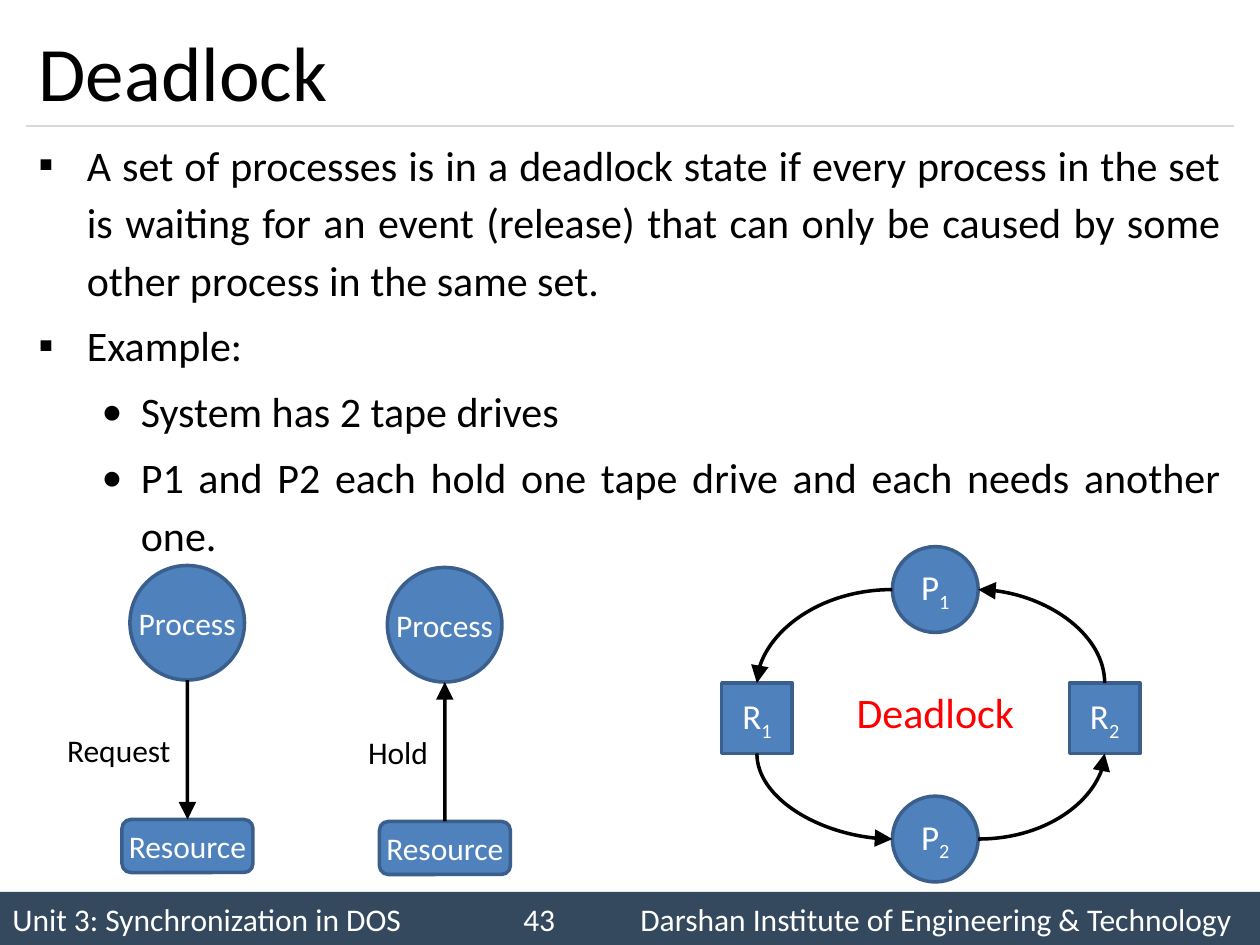
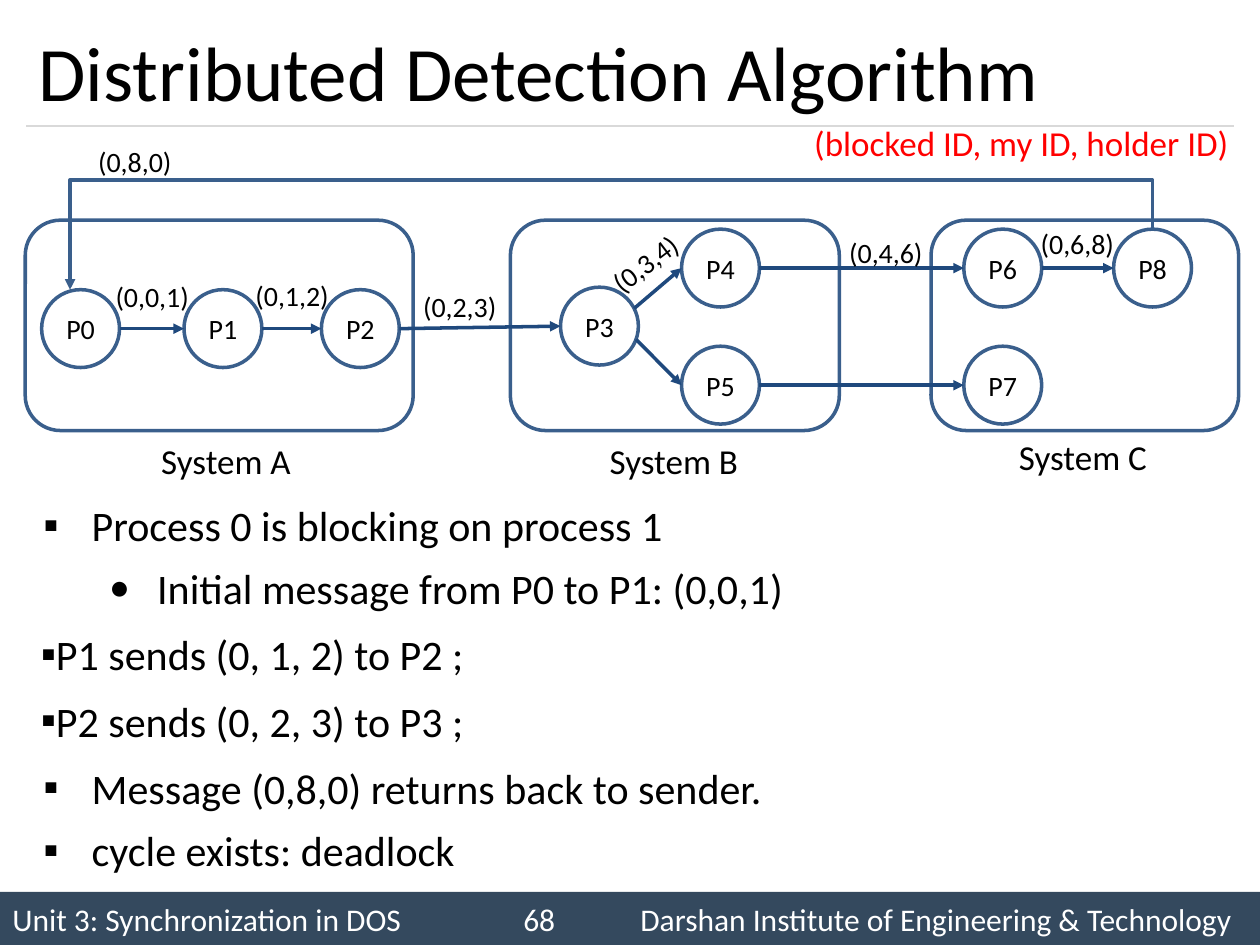
from math import cos, radians, sin

from pptx import Presentation
from pptx.dml.color import RGBColor as Rgb
from pptx.enum.shapes import MSO_CONNECTOR as Link, MSO_SHAPE as Form
from pptx.enum.text import MSO_ANCHOR as Anchor, PP_ALIGN as Align
from pptx.oxml.ns import qn
from pptx.oxml.xmlchemy import OxmlElement as Node
from pptx.util import Cm, Pt

FONT = "Calibri"
INK = {
    "black": "000000", "white": "FFFFFF", "red": "FF0000", "rule": "D9D9D9",
    "band": "34495E", "blue": "4F81BD", "edge": "3A5F8C", "navy": "1F497D",
}
UNIT = "Unit 3: Synchronization in DOS"
SCHOOL = "Darshan Institute of Engineering & Technology"


# Shared helpers; all lengths are in centimetres
def rgb(name):
    return Rgb.from_string(INK[name])


def add_run(para, text, size, color="black", sub=False):
    run = para.add_run()
    run.text = text
    font = run.font
    font.name, font.size, font.color.rgb = FONT, Pt(size), rgb(color)
    if sub:
        font._element.set("baseline", "-25000")


def add_text(slide, box, text, size, color="black", align=Align.LEFT,
             anchor=Anchor.TOP, wrap=False):
    shape = slide.shapes.add_textbox(*map(Cm, box))
    frame = shape.text_frame
    frame.word_wrap, frame.vertical_anchor = wrap, anchor
    para = frame.paragraphs[0]
    para.alignment = align
    if text:
        add_run(para, text, size, color)
    return shape


def add_form(slide, form, box, fill, edge="edge"):
    shape = slide.shapes.add_shape(form, *map(Cm, box))
    shape.shadow.inherit = False
    shape.fill.solid()
    shape.fill.fore_color.rgb = rgb(fill)
    if edge:
        paint(shape, edge)
    else:
        shape.line.fill.background()
    return shape


def write(shape, text, size, color, sub=""):
    frame = shape.text_frame
    frame.word_wrap, frame.vertical_anchor = False, Anchor.MIDDLE
    para = frame.paragraphs[0]
    para.alignment = Align.CENTER
    add_run(para, text, size, color)
    if sub:
        add_run(para, sub, size, color, True)


def paint(shape, color, width=2.0):
    shape.line.color.rgb = rgb(color)
    shape.line.width = Pt(width)


def add_tip(shape, end="tail", size="med"):
    tip = Node(f"a:{end}End")
    for key, value in (("type", "triangle"), ("w", size), ("len", size)):
        tip.set(key, value)
    shape.element.spPr.find(qn("a:ln")).append(tip)


def add_line(slide, start, stop, color, width=2.0, kind=Link.STRAIGHT):
    line = slide.shapes.add_connector(kind, *map(Cm, (*start, *stop)))
    paint(line, color, width)
    line.element.spPr.append(Node("a:effectLst"))
    return line


def side(shape, way):
    """Point on the shape's edge box, way being (-1..1, -1..1) from its centre."""
    x = shape.left + shape.width * (1 + way[0]) / 2
    y = shape.top + shape.height * (1 + way[1]) / 2
    return x / Cm(1), y / Cm(1)


def add_list(slide, box, rows, lead, align):
    """Rows hold text, bullet, left margin, hanging indent and space before."""
    frame = add_text(slide, box, "", 24, wrap=True).text_frame
    for i, (text, mark, left, hang, gap) in enumerate(rows):
        para = frame.add_paragraph() if i else frame.paragraphs[0]
        props = para._p.get_or_add_pPr()
        props.set("marL", str(Cm(left)))
        props.set("indent", str(-Cm(hang)))
        face, char = Node("a:buFont"), Node("a:buChar")
        face.set("typeface", FONT)
        char.set("char", mark)
        props.extend((face, char))
        para.alignment, para.line_spacing = align, lead
        para.space_before = Pt(gap if i else 0)
        add_run(para, text, 24)


# Title, rule and footer band of every slide
def add_base(deck, title, page):
    slide = deck.slides.add_slide(deck.slide_layouts[6])
    band = add_form(slide, Form.RECTANGLE, (0, 17.98, 25.4, 1.07), "band", None)
    frame = band.text_frame
    frame.word_wrap, frame.vertical_anchor = False, Anchor.MIDDLE
    para = frame.paragraphs[0]
    tabs = Node("a:tabLst")
    for stop in (10.3, 12.66):
        tab = Node("a:tab")
        tab.set("pos", str(Cm(stop)))
        tab.set("algn", "l")
        tabs.append(tab)
    para._p.get_or_add_pPr().append(tabs)
    para.alignment = Align.LEFT
    frame.word_wrap = True
    add_run(para, f"{UNIT}\t{page}\t{SCHOOL}", 18, "white")
    add_line(slide, (0.53, 2.54), (24.87, 2.54), "rule", 0.75)
    add_text(slide, (0.53, 0.3, 24.33, 2.24), title, 44,
             anchor=Anchor.MIDDLE, wrap=True)
    return slide


# Process above resource, joined by an arrow
def add_pair(slide, x, y, label, end):
    top = add_form(slide, Form.OVAL, (x + 0.16, y, 2.31, 2.31), "blue")
    base = add_form(slide, Form.ROUNDED_RECTANGLE,
                    (x, y + 5.12, 2.64, 1.07), "blue")
    write(top, "Process", 18, "white")
    write(base, "Resource", 18, "white")
    arrow = add_line(slide, side(top, (0, 1)), side(base, (0, -1)), "black")
    arrow.end_connect(base, 0)
    add_tip(arrow, end, "lg")
    add_text(slide, (x - 1.39, y + 3.21, 2.62, 1.02), label, 18,
             align=Align.RIGHT)


# Ring of two processes and two resources
def add_ring(slide, x, y, w, h):
    ball, cell = 1.73, 1.42
    procs, stores = [], []
    for i in (0, 1):
        procs.append(add_form(slide, Form.OVAL, (
            x + 3.44, y + i * (h - ball), ball, ball), "blue"))
        stores.append(add_form(slide, Form.RECTANGLE, (
            x + i * (w - cell), y + 2.75, cell, cell), "blue"))
        write(procs[i], "P", 20, "white", str(i + 1))
        write(stores[i], "R", 20, "white", str(i + 1))
    for i, proc in enumerate(procs):
        for j, store in enumerate(stores):
            curve = add_line(slide, side(proc, (2 * j - 1, 0)),
                             side(store, (0, 2 * i - 1)), "black",
                             kind=Link.CURVE)
            geom = curve.element.spPr.find(qn("a:prstGeom"))
            geom.set("prst", "curvedConnector2")
            add_tip(curve, "tail" if i == j else "head", "lg")
    add_text(slide, (x + 2.47, y + 2.7, 3.71, 1.27), "Deadlock", 24, "red")


def add_deadlock(deck):
    slide = add_base(deck, "Deadlock", 43)
    main, deep = ("▪", 0.97, 0.97, 4.8), ("•", 2.06, 0.79, 4.8)
    add_list(slide, (0.53, 2.54, 24.33, 15.24), [
        ("A set of processes is in a deadlock state if every process in the "
         "set is waiting for an event (release) that can only be caused by "
         "some other process in the same set.", *main),
        ("Example:", *main),
        ("System has 2 tape drives", *deep),
        ("P1 and P2 each hold one tape drive and each needs another one.",
         *deep),
    ], 1.14, Align.JUSTIFY)
    add_pair(slide, 2.46, 11.4, "Request", "tail")
    add_pair(slide, 7.65, 11.44, "Hold", "head")
    add_ring(slide, 14.55, 11.02, 8.43, 6.76)


# One system frame with its processes, given relative to the frame
def add_system(slide, x, y, w, name, shift, procs):
    add_form(slide, Form.ROUNDED_RECTANGLE, (x, y, w, 4.24), "white")
    add_text(slide, (x + shift[0], y + shift[1], 3.14, 1.12), name, 20)
    balls = {}
    for key, (dx, dy) in procs.items():
        ball = add_form(slide, Form.OVAL, (x + dx, y + dy, 1.57, 1.57), "white")
        write(ball, key, 16, "black")
        balls[key] = ball
    return balls


# Three systems, their links and the messages sent
def add_graph(slide, x, y):
    systems = (
        (0, 7.82, "System A", (2.49, 4.3),
         {"P0": (0.33, 1.4), "P1": (3.2, 1.4), "P2": (5.97, 1.4)}),
        (9.78, 6.63, "System B", (1.75, 4.3),
         {"P3": (1.01, 1.35), "P4": (3.45, 0.18), "P5": (3.45, 2.54)}),
        (18.26, 6.2, "System C", (1.52, 4.22),
         {"P6": (0.66, 0.18), "P7": (0.66, 2.54), "P8": (3.68, 0.18)}),
    )
    balls = {}
    for dx, *rest in systems:
        balls.update(add_system(slide, x + dx, y, *rest))

    # Links leave the first process at an angle and reach the left of the next
    links = (("P0", "P1", 0), ("P1", "P2", 0), ("P2", "P3", 0),
             ("P3", "P4", -27), ("P3", "P5", 20), ("P4", "P6", 0),
             ("P5", "P7", 0), ("P6", "P8", 0))
    for first, last, turn in links:
        angle = radians(turn)
        arrow = add_line(slide, side(balls[first], (cos(angle), sin(angle))),
                         side(balls[last], (-1, 0)), "navy")
        add_tip(arrow)

    # Message returning from the last process to the first
    right, top = side(balls["P8"], (0, -1))
    left, low = side(balls["P0"], (-0.27, -1))
    high = y - 0.81
    pen = slide.shapes.build_freeform(Cm(right), Cm(top))
    pen.add_line_segments([(Cm(a), Cm(b)) for a, b in (
        (right, high), (left, high), (left, low))], close=False)
    back = pen.convert_to_shape()
    back.shadow.inherit = False
    back.fill.background()
    paint(back, "edge")
    add_tip(back)

    notes = (("(0,0,1)", 1.57, 1.07, 0), ("(0,1,2)", 4.39, 1.05, 0),
             ("(0,2,3)", 7.77, 1.28, 0), ("(0,3,4)", 11.5, 0.39, -37.3),
             ("(0,4,6)", 16.36, 0.18, 0), ("(0,6,8)", 20.22, 0.01, 0),
             ("(0,8,0)", 1.22, -1.65, 0))
    for text, dx, dy, turn in notes:
        note = add_text(slide, (x + dx, y + dy, 2.01, 0.94), text, 16)
        note.rotation = turn
    add_text(slide, (x + 15.62, y - 2.11, 8.89, 1.12),
             "(blocked ID, my ID, holder ID)", 20, "red", Align.RIGHT)


def add_detection(deck):
    slide = add_base(deck, "Distributed Detection Algorithm", 68)
    main, deep = ("▪", 1.02, 0.97, 5.8), ("•", 2.34, 0.97, 5.8)
    flat = ("▪", 0.25, 0.97, 8.1)
    add_list(slide, (0.58, 9.91, 24.33, 7.67), [
        ("Process 0 is blocking on process 1", *main),
        ("Initial message from P0 to P1: (0,0,1)", *deep),
        ("P1 sends (0, 1, 2) to P2 ;", *flat),
        ("P2 sends (0, 2, 3) to P3 ;", *flat),
        ("Message (0,8,0) returns back to sender.", *main[:3], 8.1),
        ("cycle exists: deadlock", *main),
    ], 1.04, Align.LEFT)
    add_graph(slide, 0.51, 4.44)


def main():
    deck = Presentation()
    deck.slide_width, deck.slide_height = Cm(25.4), Cm(19.05)
    add_deadlock(deck)
    add_detection(deck)
    deck.save("out.pptx")


if __name__ == "__main__":
    main()
